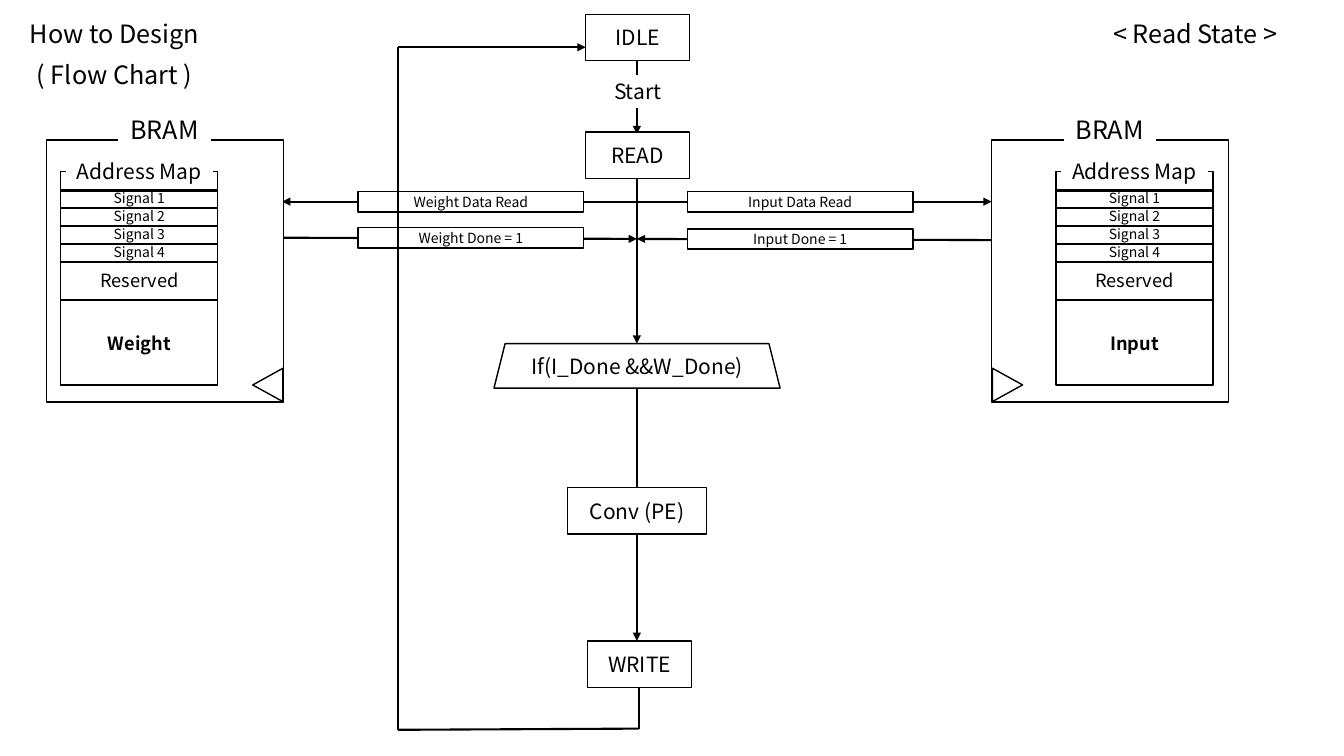
"""Build the Read State flow chart slide with its two BRAM address maps."""
from dataclasses import dataclass

import lxml.etree
import pptx
import pptx.dml.color
import pptx.enum.shapes
import pptx.enum.text
import pptx.oxml.ns
import pptx.util
from pptx.util import Cm


@dataclass(frozen=True)
class Theme:
    font: str = "Noto Sans CJK KR"
    ink: pptx.dml.color.RGBColor = pptx.dml.color.RGBColor(0, 0, 0)
    paper: pptx.dml.color.RGBColor = pptx.dml.color.RGBColor(255, 255, 255)
    title: int = 18
    state: int = 15
    region: int = 13
    signal: int = 10
    outline: float = 1
    arrow: float = 1.5


theme = Theme()
preset = pptx.enum.shapes.MSO_SHAPE


def add_box(shapes, left, top, width, height, text="", size=theme.state,
            outline=theme.ink, kind=preset.RECTANGLE, bold=False):
    shape = shapes.add_shape(kind, Cm(left), Cm(top), Cm(width), Cm(height))
    shape.shadow.inherit = False
    shape.fill.solid()
    shape.fill.fore_color.rgb = theme.paper
    shape.line.color.rgb = outline
    shape.line.width = pptx.util.Pt(theme.outline)
    if text:
        frame = shape.text_frame
        frame.word_wrap = True
        frame.margin_left = frame.margin_right = 0
        frame.margin_top = frame.margin_bottom = 0
        frame.vertical_anchor = pptx.enum.text.MSO_ANCHOR.MIDDLE
        paragraph = frame.paragraphs[0]
        paragraph.text = text
        paragraph.alignment = pptx.enum.text.PP_ALIGN.CENTER
        paragraph.font.name = theme.font
        paragraph.font.size = pptx.util.Pt(size)
        paragraph.font.bold = bold
        paragraph.font.color.rgb = theme.ink
    return shape


def add_line(shapes, start, end, arrow=False):
    connector = shapes.add_connector(
        pptx.enum.shapes.MSO_CONNECTOR.STRAIGHT,
        Cm(start[0]), Cm(start[1]), Cm(end[0]), Cm(end[1]))
    connector.line.color.rgb = theme.ink
    connector.line.width = pptx.util.Pt(theme.arrow)
    qualified = pptx.oxml.ns.qn
    if arrow:
        lxml.etree.SubElement(connector.line._get_or_add_ln(), qualified("a:tailEnd"), type="triangle")
    lxml.etree.SubElement(connector._element.spPr, qualified("a:effectLst"))


presentation = pptx.Presentation()
presentation.slide_width = Cm(33.87)
presentation.slide_height = Cm(19.05)
slide = presentation.slides.add_slide(presentation.slide_layouts[6])

for text, left, top, width in [
    ("How to Design", 0.36, 0.36, 5.05),
    ("( Flow Chart )", 0.36, 1.37, 5.05),
    ("< Read State >", 26.72, 0.36, 6.81),
]:
    add_box(slide.shapes, left, top, width, 0.99, text, theme.title, theme.paper)

axis = 16.05
weight_edge, input_edge = 7.11, 24.99
for start, end in [
    ((axis, 1.52), (axis, 3.38)),
    ((axis, 4.5), (axis, 8.66)),
    ((axis, 9.78), (axis, 16.15)),
    ((axis, 5.08), (input_edge, 5.08)),
    ((axis, 5.08), (weight_edge, 5.08)),
    ((input_edge, 6.05), (axis, 6.02)),
    ((weight_edge, 5.99), (axis, 6.02)),
]:
    add_line(slide.shapes, start, end, arrow=True)

for text, left, top, width in [
    ("IDLE", 14.76, 0.36, 2.62),
    ("READ", 14.76, 3.33, 2.62),
    ("Conv (PE)", 14.3, 12.29, 3.51),
    ("WRITE", 14.81, 16.15, 2.62),
]:
    add_box(slide.shapes, left, top, width, 1.17, text)
add_box(slide.shapes, 12.45, 8.66, 7.21, 1.12, "If(I_Done &&W_Done)", kind=preset.TRAPEZOID)
add_box(slide.shapes, 15.09, 1.9, 1.96, 0.81, "Start", outline=theme.paper)

for text, left, top in [
    ("Weight Data Read", 9.02, 4.83),
    ("Weight Done = 1", 9.02, 5.74),
    ("Input Data Read", 17.32, 4.83),
    ("Input Done = 1", 17.32, 5.77),
]:
    add_box(slide.shapes, left, top, 5.69, 0.51, text, theme.signal)

return_path = [(16.1, 17.32), (16.1, 18.36), (10.03, 18.39), (10.03, 1.19), (14.76, 1.19)]
for start, end in zip(return_path, return_path[1:]):
    add_line(slide.shapes, start, end, arrow=end == return_path[-1])

map_width = 3.96
row_top, row_step = 4.8, 0.45
for content, bram_left, map_left, content_width, clock_left, clock_rotation in [
    ("Input", 24.99, 26.61, 1.88, 24.97, 90),
    ("Weight", 1.17, 1.53, 2.49, 6.33, 270),
]:
    bram = slide.shapes.add_group_shape().shapes
    add_box(bram, bram_left, 3.53, 5.97, 6.6)
    add_box(bram, bram_left + 1.83, 2.82, 2.29, 0.86, "BRAM", theme.title, theme.paper)
    clock = add_box(bram, clock_left, 9.32, 0.84, 0.76, kind=preset.ISOSCELES_TRIANGLE)
    clock.rotation = clock_rotation
    add_box(bram, map_left, 4.32, map_width, 5.38)
    add_box(bram, map_left + 0.14, 3.81, 3.68, 1.02, "Address Map", outline=theme.paper)
    for divider in [row_top + row_step * row for row in range(5)] + [7.57]:
        add_line(bram, (map_left, divider), (map_left + map_width, divider))
    content_left = map_left + (map_width - content_width) / 2
    add_box(bram, content_left, 8.24, content_width, 0.84, content, theme.region, theme.paper, bold=True)
    add_box(bram, map_left + 0.62, 6.71, 2.72, 0.69, "Reserved", theme.region, theme.paper)
    for row in range(4):
        add_box(bram, map_left + 0.62, row_top + 0.09 + row_step * row, 2.72, 0.2,
                f"Signal {row + 1}", theme.signal, theme.paper)

presentation.save("out.pptx")
